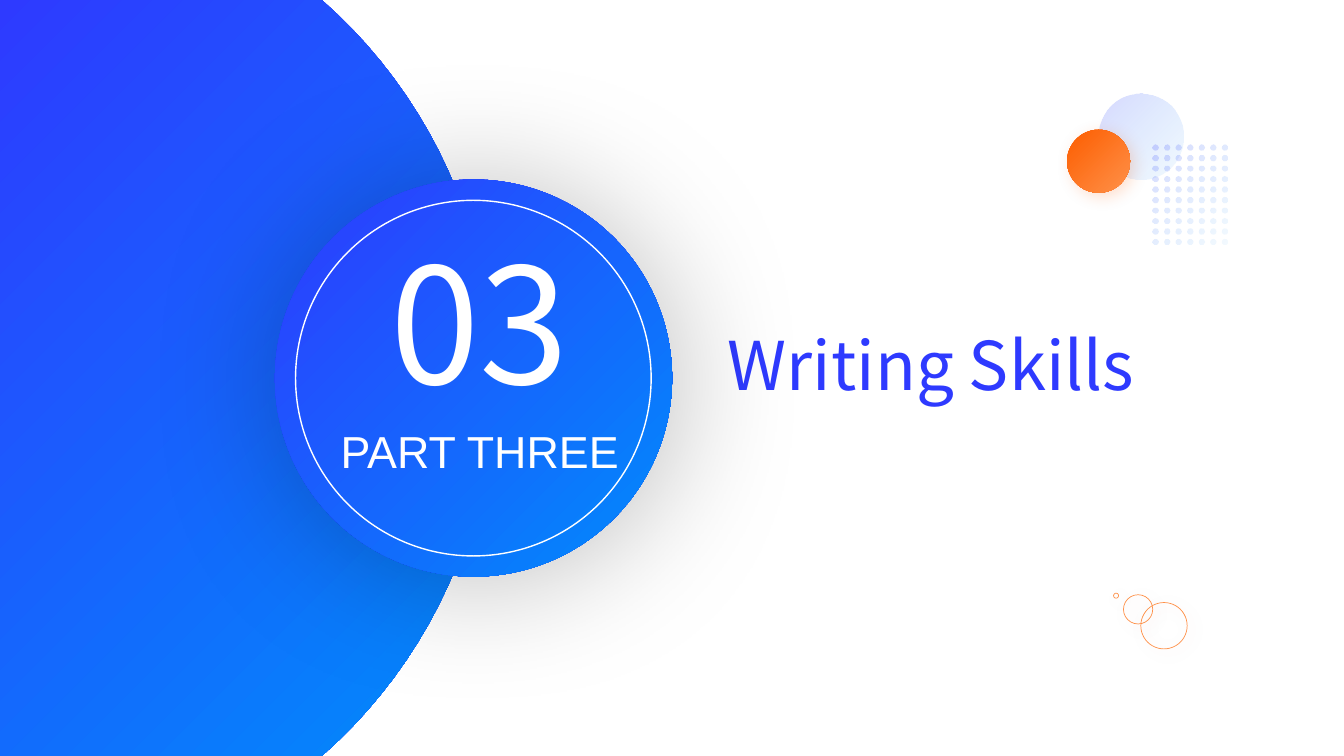
from math import asin, cos, pi, sin

from lxml import etree
from pptx import Presentation
from pptx.dml.color import RGBColor
from pptx.enum.shapes import MSO_SHAPE
from pptx.enum.text import MSO_ANCHOR, MSO_AUTO_SIZE, PP_ALIGN
from pptx.oxml.ns import qn
from pptx.util import Pt

OVAL = MSO_SHAPE.OVAL
TOP = MSO_ANCHOR.TOP
GROW, FIXED = MSO_AUTO_SIZE.SHAPE_TO_FIT_TEXT, MSO_AUTO_SIZE.NONE
LEFT, CENTER = PP_ALIGN.LEFT, PP_ALIGN.CENTER

INDIGO = RGBColor(0x2E, 0x3A, 0xFF)
AZURE = RGBColor(0x00, 0x8C, 0xFB)
ORANGE = RGBColor(0xFC, 0x5D, 0x00)
LIGHT_ORANGE = RGBColor(0xFF, 0x91, 0x49)
WHITE = RGBColor(0xFF, 0xFF, 0xFF)
BLACK = RGBColor(0, 0, 0)
BLUES = (INDIGO, AZURE)
ORANGES = (ORANGE, LIGHT_ORANGE)

HEADING_FONT = "Noto Sans CJK SC"
LABEL_FONT = "Arial"
SLIDE_WIDTH, SLIDE_HEIGHT = 960, 540
DOT_RADIUS = 2.3
HALF_TURN = "10800000"
FADE = (20, 5)
ORANGE_SHADOW = (ORANGE, 20, 12)
DISC_SHADOW = (BLACK, 26, 98)


def set_gradient(fill, colors):
    """Blend two colours from top left to bottom right."""
    fill.gradient()
    fill.gradient_angle = 315
    for stop, color, position in zip(fill.gradient_stops, colors, (0, 1)):
        stop.color.rgb = color
        stop.position = position


def add_alpha(color_element, percent):
    etree.SubElement(color_element, qn("a:alpha"), val=str(percent * 1000))


def paint(shape, colors, opacities=None):
    """Give a shape a gradient and no outline."""
    shape.shadow.inherit = False
    shape.line.fill.background()
    set_gradient(shape.fill, colors)
    if opacities:
        stops = shape._element.spPr.iter(qn("a:gs"))
        for stop, percent in zip(stops, opacities):
            add_alpha(stop[0], percent)


def add_shadow(shape, color, percent, blur):
    effects = shape._element.spPr.find(qn("a:effectLst"))
    shadow = etree.SubElement(
        effects, qn("a:outerShdw"), blurRad=str(Pt(blur)), dist=str(Pt(4)),
        dir="2700000", algn="tl", rotWithShape="0")
    add_alpha(etree.SubElement(shadow, qn("a:srgbClr"), val=str(color)), percent)


def add_circle(shapes, left, top, diameter):
    return shapes.add_shape(OVAL, Pt(left), Pt(top), Pt(diameter), Pt(diameter))


def add_disc(shapes, left, top, diameter, colors, opacities=None, shadow=None):
    disc = add_circle(shapes, left, top, diameter)
    paint(disc, colors, opacities)
    if shadow:
        add_shadow(disc, *shadow)


def add_ring(shapes, left, top, diameter, color, width, shadow=None):
    ring = add_circle(shapes, left, top, diameter)
    ring.shadow.inherit = False
    ring.fill.background()
    ring.line.color.rgb = color
    ring.line.width = Pt(width)
    if shadow:
        add_shadow(ring, *shadow)


def arc_points(x, y, radius, start, end, steps):
    angles = (start + (end - start) * step / steps for step in range(steps + 1))
    return [(Pt(x + radius * cos(angle)), Pt(y + radius * sin(angle)))
            for angle in angles]


def add_outline(shapes, contours):
    """Build one freeform from closed contours."""
    builder = shapes.build_freeform(*contours[0][0])
    for index, points in enumerate(contours):
        if index:
            builder.move_to(*points[0])
        builder.add_line_segments(points[1:], close=True)
    return builder.convert_to_shape()


def round_contours(shape, radius):
    """Turn each contour, begun at its rightmost point, into a circle."""
    outline = next(shape._element.spPr.iter(qn("a:path")))
    for segment in outline.findall(qn("a:lnTo")):
        outline.remove(segment)
    for close in outline.findall(qn("a:close")):
        for start in ("0", HALF_TURN):
            close.addprevious(outline.makeelement(qn("a:arcTo"), {
                "wR": str(Pt(radius)), "hR": str(Pt(radius)),
                "stAng": start, "swAng": HALF_TURN}))


def add_side_panel(shapes):
    radius, middle = 359.3, SLIDE_HEIGHT / 2
    reach = asin(middle / radius)
    arc = arc_points(-7.2, middle, radius, -reach, reach, 40)
    corners = [(0, 0), (0, Pt(SLIDE_HEIGHT))]
    paint(add_outline(shapes, [corners[:1] + arc + corners[1:]]), BLUES)


def add_dot_grid(shapes, columns=7, rows=10):
    dots = [arc_points(825.5 + 8.13 * column, 105.8 + 7.43 * row,
                       DOT_RADIUS, 0, 2 * pi, 4)
            for row in range(rows) for column in range(columns)]
    grid = add_outline(shapes, dots)
    round_contours(grid, DOT_RADIUS)
    paint(grid, BLUES, FADE)


def write(shape, text, font_name, size, alignment, inset=3.6, spacing=1.0,
          auto_size=GROW):
    """Fill a text shape with one run and return its font."""
    frame = shape.text_frame
    frame.word_wrap = True
    frame.auto_size = auto_size
    frame.vertical_anchor = TOP
    frame.margin_top = Pt(inset)
    paragraph = frame.paragraphs[0]
    paragraph.alignment = alignment
    paragraph.line_spacing = spacing
    run = paragraph.add_run()
    run.text = text
    run.font.name = font_name
    run.font.size = Pt(size)
    return run.font


def add_white_text(shapes, left, top, width, height, *content, **layout):
    box = shapes.add_textbox(Pt(left), Pt(top), Pt(width), Pt(height))
    write(box, *content, CENTER, **layout).color.rgb = WHITE


def place_title(title, text):
    title.left, title.top = Pt(512.6), Pt(234)
    title.width, title.height = Pt(342), Pt(123.8)
    font = write(title, text, HEADING_FONT, 48, LEFT, spacing=0.9, auto_size=FIXED)
    set_gradient(font.fill, BLUES)


def main():
    presentation = Presentation()
    presentation.slide_width = Pt(SLIDE_WIDTH)
    presentation.slide_height = Pt(SLIDE_HEIGHT)
    slide = presentation.slides.add_slide(presentation.slide_layouts[5])
    shapes = slide.shapes

    add_side_panel(shapes)
    add_disc(shapes, 196.4, 128.2, 283.7, BLUES, shadow=DISC_SHADOW)
    add_white_text(shapes, 243.4, 172.1, 198, 146.9, "03", HEADING_FONT, 115,
                   spacing=0.9)
    add_white_text(shapes, 223.2, 295.9, 239, 46, "PART THREE", LABEL_FONT, 32,
                   inset=6.5)
    add_ring(shapes, 211.1, 143.1, 254, WHITE, 1)

    add_disc(shapes, 784.4, 66.9, 61.2, BLUES, FADE)
    add_disc(shapes, 762.2, 92.7, 45, ORANGES, shadow=ORANGE_SHADOW)
    place_title(shapes.title, "Writing Skills")

    bubbles = shapes.add_group_shape().shapes
    for left, top, diameter in ((795.4, 423.7, 3.6), (802.5, 424.8, 20.9),
                                (814.9, 430.4, 33.1)):
        add_ring(bubbles, left, top, diameter, LIGHT_ORANGE, 0.5, ORANGE_SHADOW)
    add_dot_grid(shapes)

    presentation.save("out.pptx")


if __name__ == "__main__":
    main()
